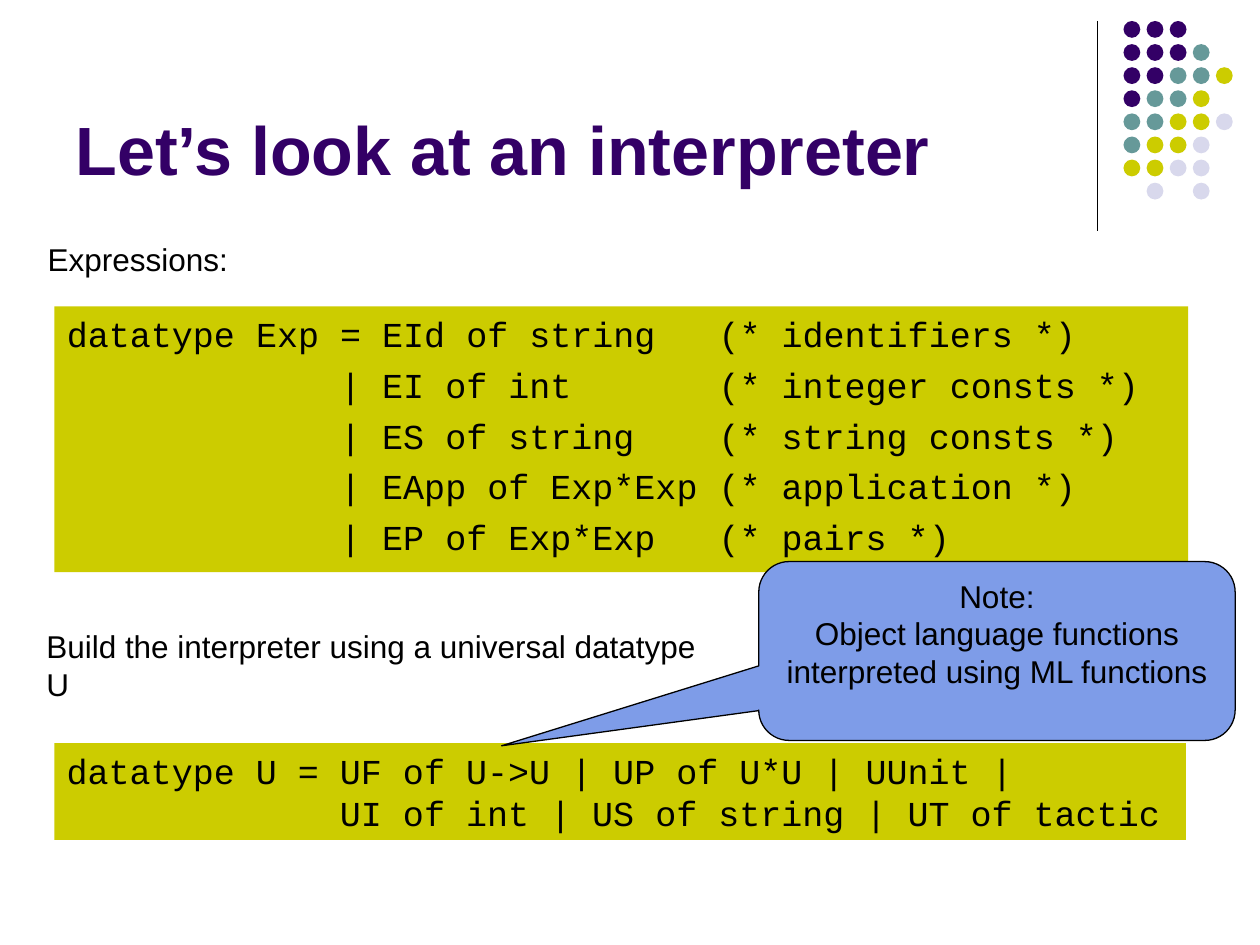
"""Build the slide that introduces an interpreter and its datatypes."""
from lxml import etree
from pptx import Presentation
from pptx.dml.color import RGBColor
from pptx.enum.shapes import MSO_CONNECTOR, MSO_SHAPE
from pptx.enum.text import MSO_ANCHOR, MSO_AUTO_SIZE, PP_ALIGN
from pptx.oxml.ns import qn
from pptx.util import Pt

LEFT, CENTER = PP_ALIGN.LEFT, PP_ALIGN.CENTER
TOP, BOTTOM = MSO_ANCHOR.TOP, MSO_ANCHOR.BOTTOM
FIXED, GROW = MSO_AUTO_SIZE.NONE, MSO_AUTO_SIZE.SHAPE_TO_FIT_TEXT
RECTANGLE, OVAL = MSO_SHAPE.RECTANGLE, MSO_SHAPE.OVAL
CALLOUT, STRAIGHT = MSO_SHAPE.ROUNDED_RECTANGULAR_CALLOUT, MSO_CONNECTOR.STRAIGHT

TITLE = ["Let’s look at an interpreter"]
EXPRESSION_CODE = [
    "datatype Exp = EId of string   (* identifiers *)",
    "             | EI of int       (* integer consts *)",
    "             | ES of string    (* string consts *)",
    "             | EApp of Exp*Exp (* application *)",
    "             | EP of Exp*Exp   (* pairs *)",
]
UNIVERSAL_CODE = [
    "datatype U = UF of U->U | UP of U*U | UUnit |",
    "             UI of int | US of string | UT of tactic",
]
LABELS = [
    ("Expressions:", (20.2, 133.9, 117.4, 28.8)),
    ("Build the interpreter using a universal datatype U", (19.4, 355, 403.2, 28.8)),
]
NOTE = ["Note:", "Object language functions interpreted using ML functions"]
DOT_ROWS = ["PPP", "PPPT", "PPTTY", "PTTY", "TTYYL", "TYYL", "YYLL", " L L"]

THEME = {
    "purple": RGBColor(0x33, 0x00, 0x66),
    "teal": RGBColor(0x66, 0x99, 0x99),
    "yellow": RGBColor(0xCC, 0xCC, 0x00),
    "lavender": RGBColor(0xD8, 0xD8, 0xEC),
    "blue": RGBColor(0x7E, 0x9C, 0xE8),
    "black": RGBColor(0, 0, 0),
    "title": {"name": "Arial", "size": Pt(39), "bold": True},
    "code": {"name": "Courier New", "size": Pt(20), "bold": False},
    "text": {"name": "Arial", "size": Pt(18), "bold": False},
}
DOT_COLORS = {"P": "purple", "T": "teal", "Y": "yellow", "L": "lavender"}
DOT_LEFT, DOT_TOP, DOT_SIZE, DOT_PITCH = 642, 12, 9.6, 13.2
DIVIDER = (627, 12, 627, 132)


def points(values):
    return [Pt(value) for value in values]


def place(part, box):
    for side, value in zip(("left", "top", "width", "height"), points(box)):
        setattr(part, side, value)


def paint(part, color, outline=None):
    part.fill.solid()
    part.fill.fore_color.rgb = THEME[color]
    if outline:
        part.line.color.rgb = THEME[outline]
        part.line.width = Pt(0.75)
    else:
        part.line.fill.background()


def write(part, lines, style, color="black", align=LEFT, gap=0, hanging=0, **frame_format):
    frame = part.text_frame
    settings = {"word_wrap": True, "auto_size": FIXED, "vertical_anchor": TOP}
    for name, value in {**settings, **frame_format}.items():
        setattr(frame, name, value)
    for index, line in enumerate(lines):
        paragraph = frame.add_paragraph() if index else frame.paragraphs[0]
        paragraph.alignment = align
        paragraph.space_before = Pt(gap if index else 0)
        properties = paragraph._p.get_or_add_pPr()
        properties.set("marL", str(Pt(hanging)))
        properties.set("indent", str(Pt(-hanging)))
        etree.SubElement(properties, qn("a:buNone"))
        run = paragraph.add_run()
        run.text = line
        for name, value in THEME[style].items():
            setattr(run.font, name, value)
        run.font.color.rgb = THEME[color]


def add_shape(shapes, kind, box, color, outline=None):
    shape = shapes.add_shape(kind, *points(box))
    shape.shadow.inherit = False
    paint(shape, color, outline)
    return shape


def add_dots(slide):
    dots = slide.shapes.add_group_shape()
    for row, codes in enumerate(DOT_ROWS):
        for column, code in enumerate(codes):
            if code in DOT_COLORS:
                box = (DOT_LEFT + column * DOT_PITCH, DOT_TOP + row * DOT_PITCH, DOT_SIZE, DOT_SIZE)
                add_shape(dots.shapes, OVAL, box, DOT_COLORS[code])


def main():
    deck = Presentation()
    deck.slide_width, deck.slide_height = Pt(720), Pt(540)
    slide = deck.slides.add_slide(deck.slide_layouts[1])
    shapes = slide.shapes

    divider = shapes.add_connector(STRAIGHT, *points(DIVIDER))
    divider.line.color.rgb = THEME["black"]
    divider.line.width = Pt(0.75)
    etree.SubElement(divider._element.spPr, qn("a:effectLst"))
    add_dots(slide)

    title, expressions = slide.placeholders
    place(title, (36, 9.4, 594, 102.2))
    write(title, TITLE, "title", "purple", vertical_anchor=BOTTOM)

    place(expressions, (31, 175, 648, 152))
    paint(expressions, "yellow")
    write(expressions, EXPRESSION_CODE, "code", gap=5, hanging=27)

    universal = add_shape(shapes, RECTANGLE, (31, 424.6, 646.6, 55.4), "yellow")
    write(universal, UNIVERSAL_CODE, "code", auto_size=GROW)

    for text, box in LABELS:
        label = shapes.add_textbox(*points(box))
        write(label, [text], "text", word_wrap=False, auto_size=GROW)

    note = add_shape(shapes, CALLOUT, (433.6, 320.9, 272.2, 102.2), "blue", "black")
    for index, value in enumerate((-1.04, 0.53, 0.17)):
        note.adjustments[index] = value
    write(note, NOTE, "text", align=CENTER)

    deck.save("out.pptx")


if __name__ == "__main__":
    main()
